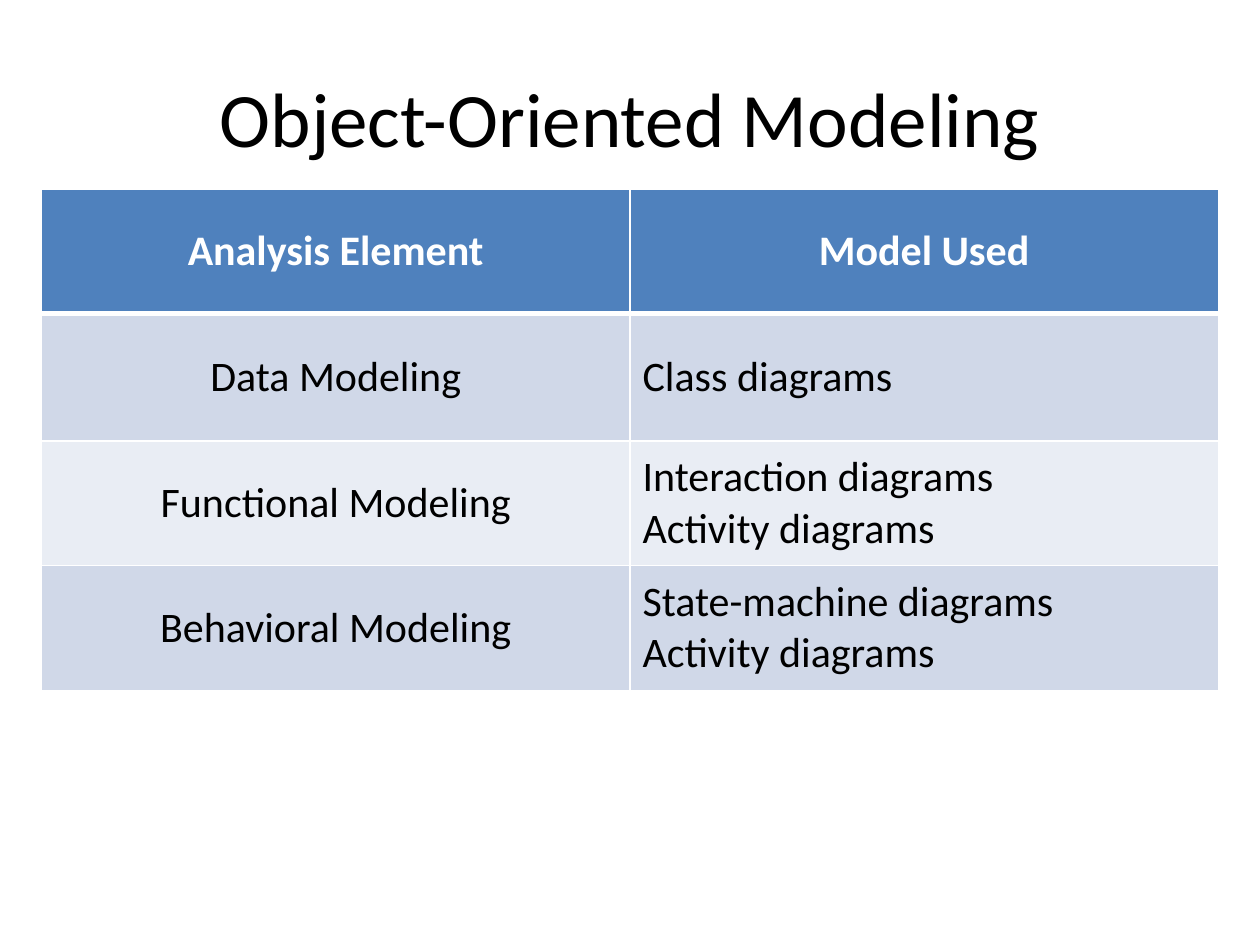
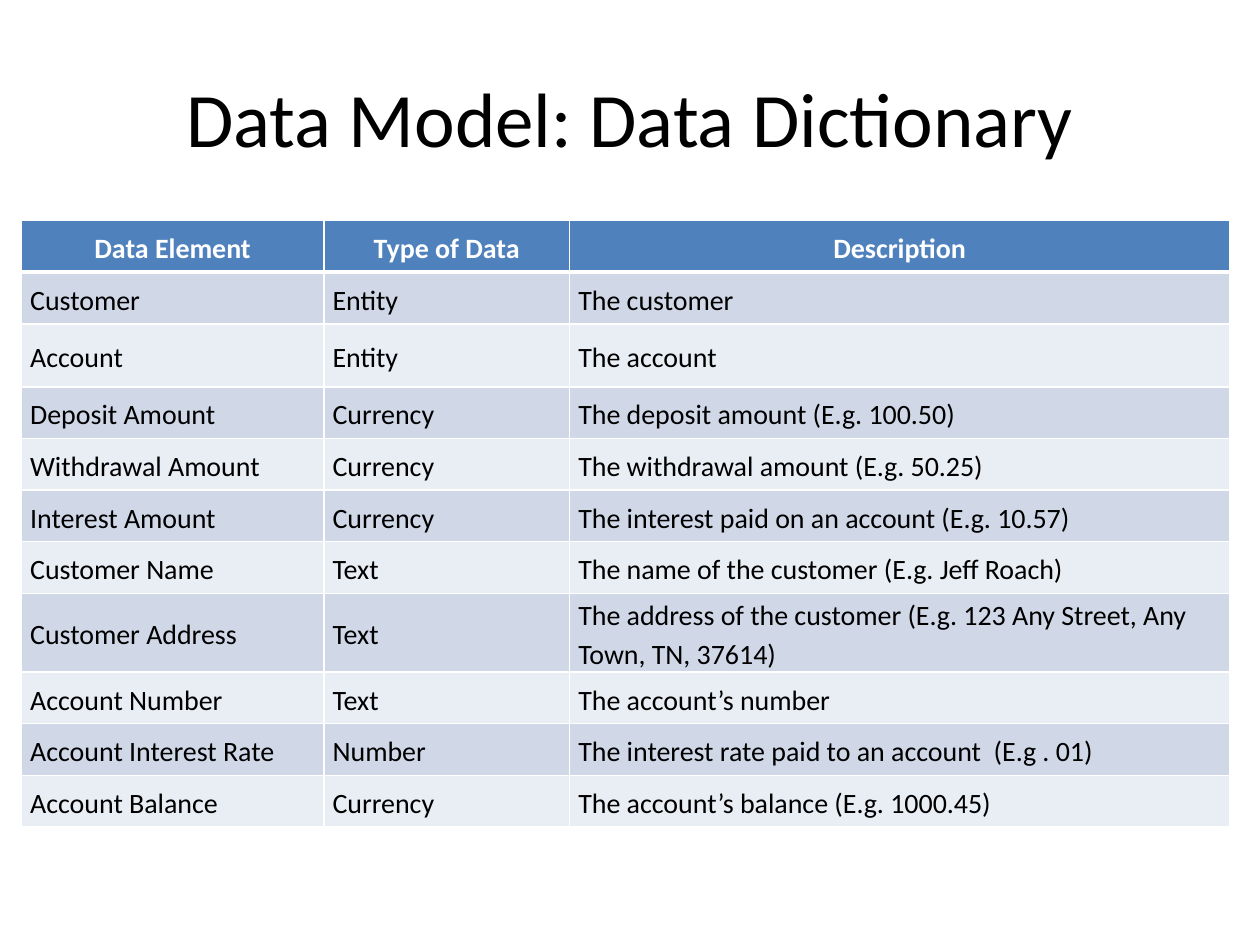
from dataclasses import dataclass

from lxml import etree
from pptx import Presentation
from pptx.dml.color import RGBColor
from pptx.enum import text
from pptx.oxml import ns
from pptx.util import Inches, Pt

# Shared style
FONT = "Calibri"
BLACK, WHITE = "000000", "FFFFFF"
HEADER_FILL = "4F81BD"
BAND_FILLS = ("D0D8E8", "E9EDF4")
RULE, HEADER_RULE = 1, 3
TITLE_ONLY = 5


@dataclass(frozen=True)
class TableSlide:
    title: str
    left: float
    top: float
    column_widths: tuple[float, ...]
    row_heights: tuple[float, ...]
    rows: tuple[tuple[str, ...], ...]  # the first row is the header
    font_size: int
    centred_columns: tuple[int, ...] = ()
    margins: tuple[float, float] = (0.1, 0.05)  # sides, top and bottom
    line_spacing: float = 1.0


MODELING = TableSlide(
    title="Object-Oriented Modeling",
    left=0.33,
    top=1.5,
    column_widths=(4.67, 4.67),
    row_heights=(0.99, 1.01, 0.99, 0.99),
    rows=(
        ("Analysis Element", "Model Used"),
        ("Data Modeling", "Class diagrams"),
        ("Functional Modeling", "Interaction diagrams\nActivity diagrams"),
        ("Behavioral Modeling", "State-machine diagrams\nActivity diagrams"),
    ),
    font_size=24,
    centred_columns=(0,),
)

DICTIONARY = TableSlide(
    title="Data Model: Data Dictionary",
    left=0.17,
    top=1.75,
    column_widths=(2.4, 1.95, 5.24),
    row_heights=(0.41, 0.41, 0.5) + (0.41,) * 8,
    rows=(
        ("Data Element", "Type of Data", "Description"),
        ("Customer", "Entity", "The customer"),
        ("Account", "Entity", "The account"),
        ("Deposit Amount", "Currency", "The deposit amount (E.g. 100.50)"),
        ("Withdrawal Amount", "Currency", "The withdrawal amount (E.g. 50.25)"),
        ("Interest Amount", "Currency", "The interest paid on an account (E.g. 10.57)"),
        ("Customer Name", "Text", "The name of the customer (E.g. Jeff Roach)"),
        ("Customer Address", "Text",
         "The address of the customer (E.g. 123 Any Street, Any Town, TN, 37614)"),
        ("Account Number", "Text", "The account’s number"),
        ("Account Interest Rate", "Number",
         "The interest rate paid to an account  (E.g . 01)"),
        ("Account Balance", "Currency", "The account’s balance (E.g. 1000.45)"),
    ),
    font_size=16,
    margins=(0.07, 0),
    line_spacing=1.15,
)


def rgb(colour: str) -> RGBColor:
    return RGBColor.from_string(colour)


def style_paragraph(paragraph, size: int, colour: str, centred: bool,
                    bold: bool = False) -> None:
    paragraph.alignment = text.PP_ALIGN.CENTER if centred else text.PP_ALIGN.LEFT
    font = paragraph.font
    font.name, font.size, font.bold = FONT, Pt(size), bold
    font.color.rgb = rgb(colour)


def add_title(slide, wording: str) -> None:
    title = slide.shapes.title
    title.left, title.top = Inches(0.5), Inches(0.3)
    title.width, title.height = Inches(9), Inches(1.25)
    title.text_frame.text = wording
    title.text_frame.vertical_anchor = text.MSO_ANCHOR.MIDDLE
    style_paragraph(title.text_frame.paragraphs[0], 44, BLACK, centred=True)


def add_borders(cell, is_header: bool) -> None:
    """Rule each cell; only the header draws a top edge, so its heavy rule wins."""
    widths = {"lnL": RULE, "lnR": RULE}
    if is_header:
        widths["lnT"] = RULE
    widths["lnB"] = HEADER_RULE if is_header else RULE
    properties = cell._tc.get_or_add_tcPr()
    for edge, width in widths.items():
        line = etree.SubElement(properties, ns.qn(f"a:{edge}"), w=str(Pt(width)))
        fill = etree.SubElement(line, ns.qn("a:solidFill"))
        etree.SubElement(fill, ns.qn("a:srgbClr"), val=WHITE)


def fill_cell(cell, wording: str, row: int, column: int, content: TableSlide) -> None:
    is_header = row == 0
    add_borders(cell, is_header)
    cell.fill.solid()
    cell.fill.fore_color.rgb = rgb(HEADER_FILL if is_header else BAND_FILLS[(row - 1) % 2])
    sides, ends = map(Inches, content.margins)
    cell.margin_left = cell.margin_right = sides
    cell.margin_top = cell.margin_bottom = ends
    cell.vertical_anchor = text.MSO_ANCHOR.MIDDLE
    cell.text_frame.text = wording
    for paragraph in cell.text_frame.paragraphs:
        paragraph.line_spacing = content.line_spacing
        style_paragraph(paragraph, content.font_size, WHITE if is_header else BLACK,
                        is_header or column in content.centred_columns, is_header)


def add_table_slide(deck, content: TableSlide) -> None:
    slide = deck.slides.add_slide(deck.slide_layouts[TITLE_ONLY])
    add_title(slide, content.title)
    table = slide.shapes.add_table(
        len(content.rows), len(content.column_widths),
        Inches(content.left), Inches(content.top),
        Inches(sum(content.column_widths)), Inches(sum(content.row_heights)),
    ).table
    for column, width in zip(table.columns, content.column_widths):
        column.width = Inches(width)
    for row, height in zip(table.rows, content.row_heights):
        row.height = Inches(height)
    for r, wordings in enumerate(content.rows):
        for c, wording in enumerate(wordings):
            fill_cell(table.cell(r, c), wording, r, c, content)


def main() -> None:
    deck = Presentation()
    deck.slide_width, deck.slide_height = Inches(10), Inches(7.5)
    for content in (MODELING, DICTIONARY):
        add_table_slide(deck, content)
    deck.save("out.pptx")


if __name__ == "__main__":
    main()
